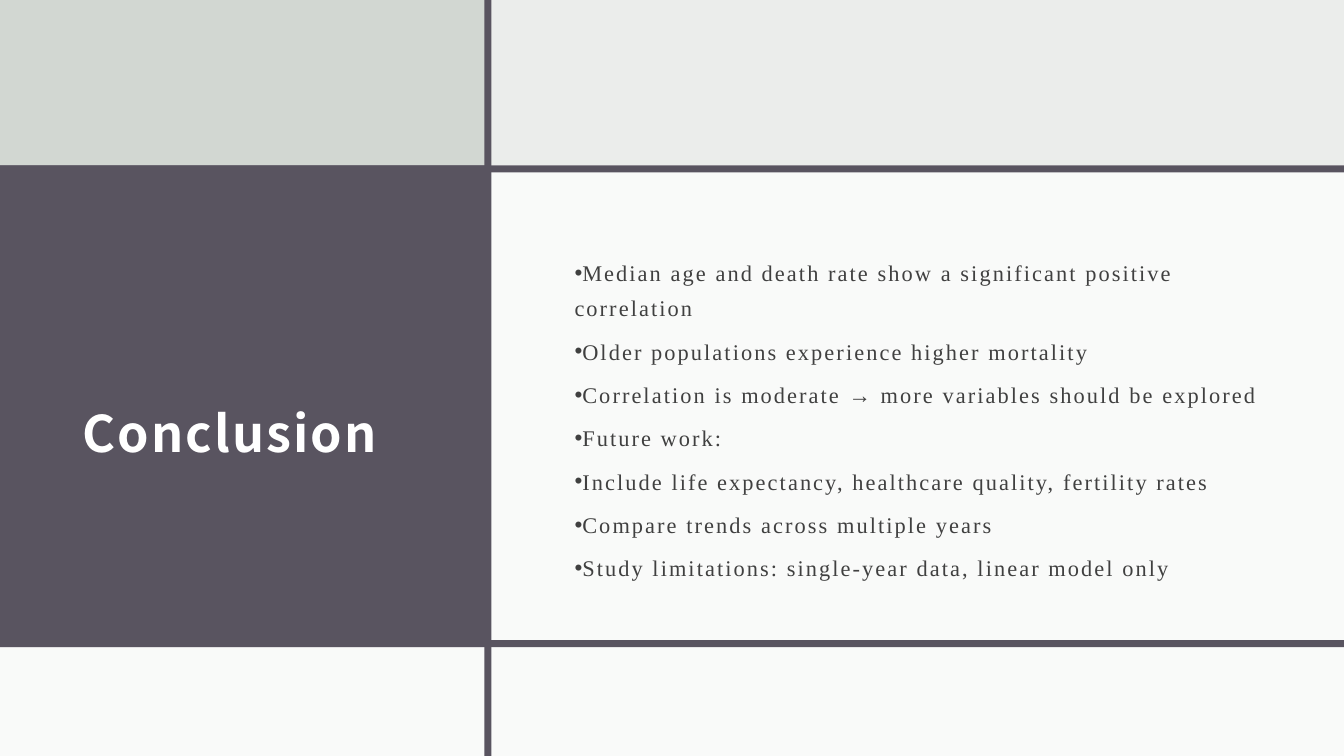
"""Build the Conclusion slide: a ruled panel grid with a title and bulleted findings."""
from lxml import etree
from pptx import Presentation
from pptx.dml.color import RGBColor
from pptx.enum.shapes import MSO_SHAPE
from pptx.enum.text import MSO_ANCHOR
from pptx.oxml.ns import qn
from pptx.util import Inches, Pt

PLUM = RGBColor(0x59, 0x54, 0x60)
SAGE = RGBColor(0xD2, 0xD7, 0xD2)
MIST = RGBColor(0xEB, 0xED, 0xEB)
WHITE = RGBColor(0xFF, 0xFF, 0xFF)
CHARCOAL = RGBColor(0x40, 0x40, 0x40)

WIDTH, HEIGHT = 13.33, 7.5
RULE = 0.07
COLUMN = 4.84
TOP_ROW, BOTTOM_ROW = 1.64, 6.35
TEXT_TOP, TEXT_HEIGHT = 2.14, 3.98

deck = Presentation()
deck.slide_width, deck.slide_height = Inches(WIDTH), Inches(HEIGHT)
slide = deck.slides.add_slide(deck.slide_layouts[6])
slide.background.fill.solid()
slide.background.fill.fore_color.rgb = MIST

middle_height = BOTTOM_ROW + RULE - TOP_ROW
panels = [
    (0, 0, WIDTH, HEIGHT, MIST, 100),
    (0, TOP_ROW, COLUMN, middle_height, PLUM, 100),
    (0, 0, COLUMN, TOP_ROW, SAGE, 100),
    (COLUMN, TOP_ROW, WIDTH - COLUMN, middle_height, WHITE, 75),
    (0, TOP_ROW, WIDTH, RULE, PLUM, 100),
    (0, BOTTOM_ROW + RULE, WIDTH, HEIGHT - BOTTOM_ROW - RULE, WHITE, 75),
    (0, BOTTOM_ROW, WIDTH, RULE, PLUM, 100),
    (COLUMN - RULE / 2, 0, RULE, HEIGHT, PLUM, 100),
]
for left, top, width, height, color, opacity in panels:
    panel = slide.shapes.add_shape(
        MSO_SHAPE.RECTANGLE, Inches(left), Inches(top), Inches(width), Inches(height))
    panel.shadow.inherit = False
    panel.line.fill.background()
    panel.fill.solid()
    panel.fill.fore_color.rgb = color
    if opacity < 100:
        tint = panel.fill._xPr.find(qn("a:solidFill"))[0]
        etree.SubElement(tint, qn("a:alpha")).set("val", str(opacity * 1000))


def add_text_area(left, width):
    area = slide.shapes.add_textbox(
        Inches(left), Inches(TEXT_TOP), Inches(width), Inches(TEXT_HEIGHT)).text_frame
    area.word_wrap = True
    area.vertical_anchor = MSO_ANCHOR.MIDDLE
    return area


def add_spaced_run(paragraph, text, size, font, color):
    run = paragraph.add_run()
    run.text = text
    run.font.size = Pt(size)
    run.font.name = font
    run.font.color.rgb = color
    properties = run.font._element
    properties.set("spc", "150")
    etree.SubElement(properties, qn("a:ea")).set("typeface", font)
    return run


title = add_text_area(0.7, 3.73)
title.margin_left = title.margin_right = title.margin_top = Inches(0.12)
title.margin_bottom = Inches(0.1)
heading = title.paragraphs[0]
heading.line_spacing = 1.5
add_spaced_run(heading, "Conclusion", 36, "Noto Sans CJK JP", WHITE).font.bold = True

findings = [
    "Median age and death rate show a significant positive correlation",
    "Older populations experience higher mortality",
    "Correlation is moderate → more variables should be explored",
    "Future work:",
    "Include life expectancy, healthcare quality, fertility rates",
    "Compare trends across multiple years",
    "Study limitations: single-year data, linear model only",
]
body = add_text_area(5.6, 7.03)
for index, finding in enumerate(findings):
    point = body.add_paragraph() if index else body.paragraphs[0]
    point.line_spacing = 1.3
    point.space_after = Pt(6)
    layout = point._p.get_or_add_pPr()
    layout.set("marL", "0")
    layout.set("indent", "0")
    etree.SubElement(layout, qn("a:buFont")).set("typeface", "Arial")
    etree.SubElement(layout, qn("a:buChar")).set("char", "•")
    add_spaced_run(point, finding, 16, "Times New Roman", CHARCOAL)

deck.save("out.pptx")
